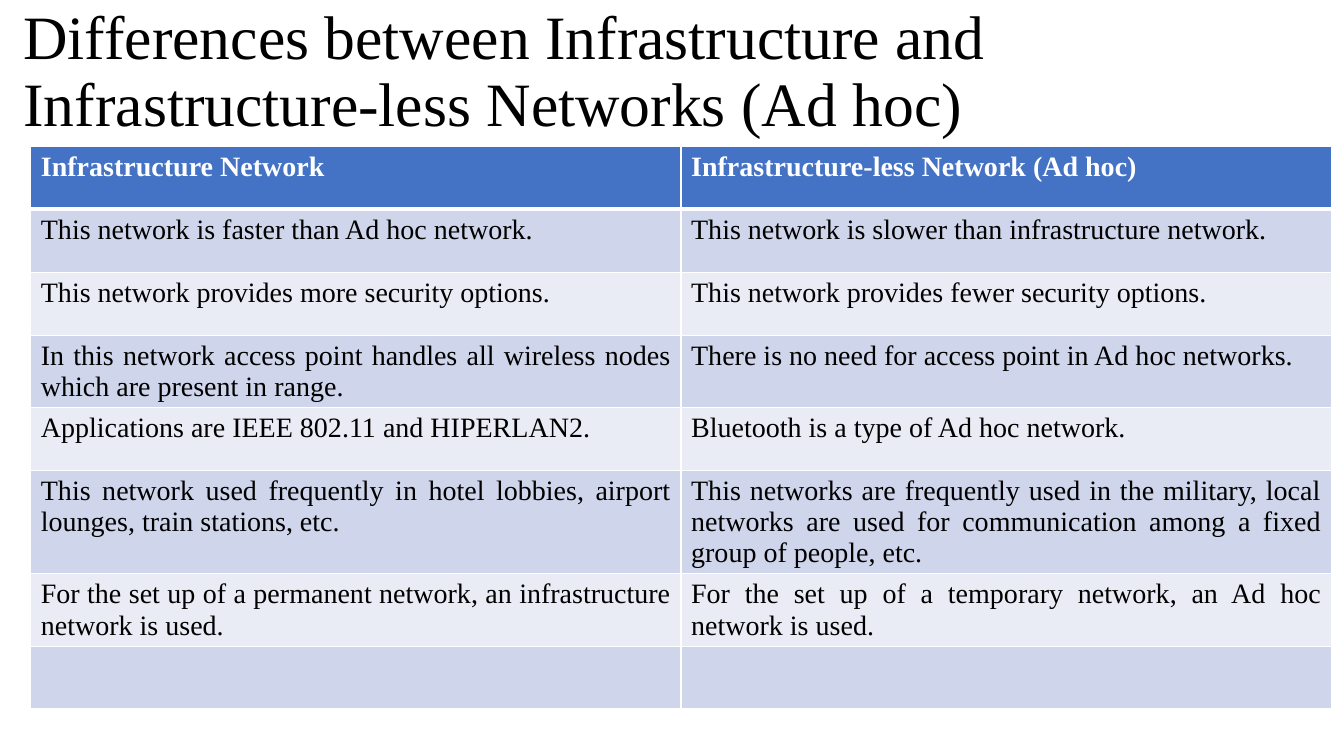
"""Build a slide comparing infrastructure and ad hoc networks in a table."""
from lxml import etree
from pptx import Presentation
from pptx.dml.color import RGBColor
from pptx.enum.text import MSO_ANCHOR, MSO_AUTO_SIZE, PP_ALIGN
from pptx.oxml.ns import qn
from pptx.util import Pt

LEFT, JUSTIFY = PP_ALIGN.LEFT, PP_ALIGN.JUSTIFY
MIDDLE = MSO_ANCHOR.MIDDLE
NO_FIT = MSO_AUTO_SIZE.NONE
FONT = "Times New Roman"
COLORS = {"head": "4472C4", "odd": "CFD5EA", "even": "E9EBF5",
          "white": "FFFFFF", "black": "000000"}
ROWS = [
    ("Infrastructure Network", "Infrastructure-less Network (Ad hoc)"),
    ("This network is faster than Ad hoc network.",
     "This network is slower than infrastructure network."),
    ("This network provides more security options.",
     "This network provides fewer security options."),
    ("In this network access point handles all wireless nodes which are present in range.",
     "There is no need for access point in Ad hoc networks."),
    ("Applications are IEEE 802.11 and HIPERLAN2.",
     "Bluetooth is a type of Ad hoc network."),
    ("This network used frequently in hotel lobbies, airport lounges, train stations, etc.",
     "This networks are frequently used in the military, local networks are used "
     "for communication among a fixed group of people, etc."),
    ("For the set up of a permanent network, an infrastructure network is used.",
     "For the set up of a temporary network, an Ad hoc network is used."),
    ("", ""),
]


def add_text(para, text, size, color, bold=False):
    run = para.add_run()
    run.text = text
    run.font.name = FONT
    run.font.size = Pt(size)
    run.font.bold = bold
    run.font.color.rgb = RGBColor.from_string(COLORS[color])


def add_border(cell, side, width):
    props = cell._tc.get_or_add_tcPr()
    line = etree.SubElement(props, qn(f"a:ln{side}"), w=str(Pt(width)))
    fill = etree.SubElement(line, qn("a:solidFill"))
    etree.SubElement(fill, qn("a:srgbClr"), val=COLORS["white"])


prs = Presentation()
prs.slide_width, prs.slide_height = Pt(960), Pt(540)
slide = prs.slides.add_slide(prs.slide_layouts[5])

title = slide.shapes.title
title.left, title.top, title.width, title.height = Pt(9.5), Pt(0), Pt(941), Pt(104.5)
frame = title.text_frame
frame.word_wrap = True
frame.auto_size = NO_FIT
frame.vertical_anchor = MIDDLE
para = frame.paragraphs[0]
para.alignment = LEFT
para.line_spacing = 0.9
add_text(para, "Differences between Infrastructure and Infrastructure-less Networks (Ad hoc)",
         44, "black")

table = slide.shapes.add_table(len(ROWS), 2, Pt(22), Pt(104.5),
                               Pt(929), Pt(45 * len(ROWS))).table
for r, texts in enumerate(ROWS):
    table.rows[r].height = Pt(45)
    shade = "head" if r == 0 else "odd" if r % 2 else "even"
    for c, text in enumerate(texts):
        cell = table.cell(r, c)
        for side in "LRTB":
            thick = (r == 0 and side == "B") or (r == 1 and side == "T")
            add_border(cell, side, 3 if thick else 1)
        cell.fill.solid()
        cell.fill.fore_color.rgb = RGBColor.from_string(COLORS[shade])
        if text:
            para = cell.text_frame.paragraphs[0]
            para.alignment = JUSTIFY
            add_text(para, text, 20, "black" if r else "white", r == 0)

prs.save("out.pptx")
